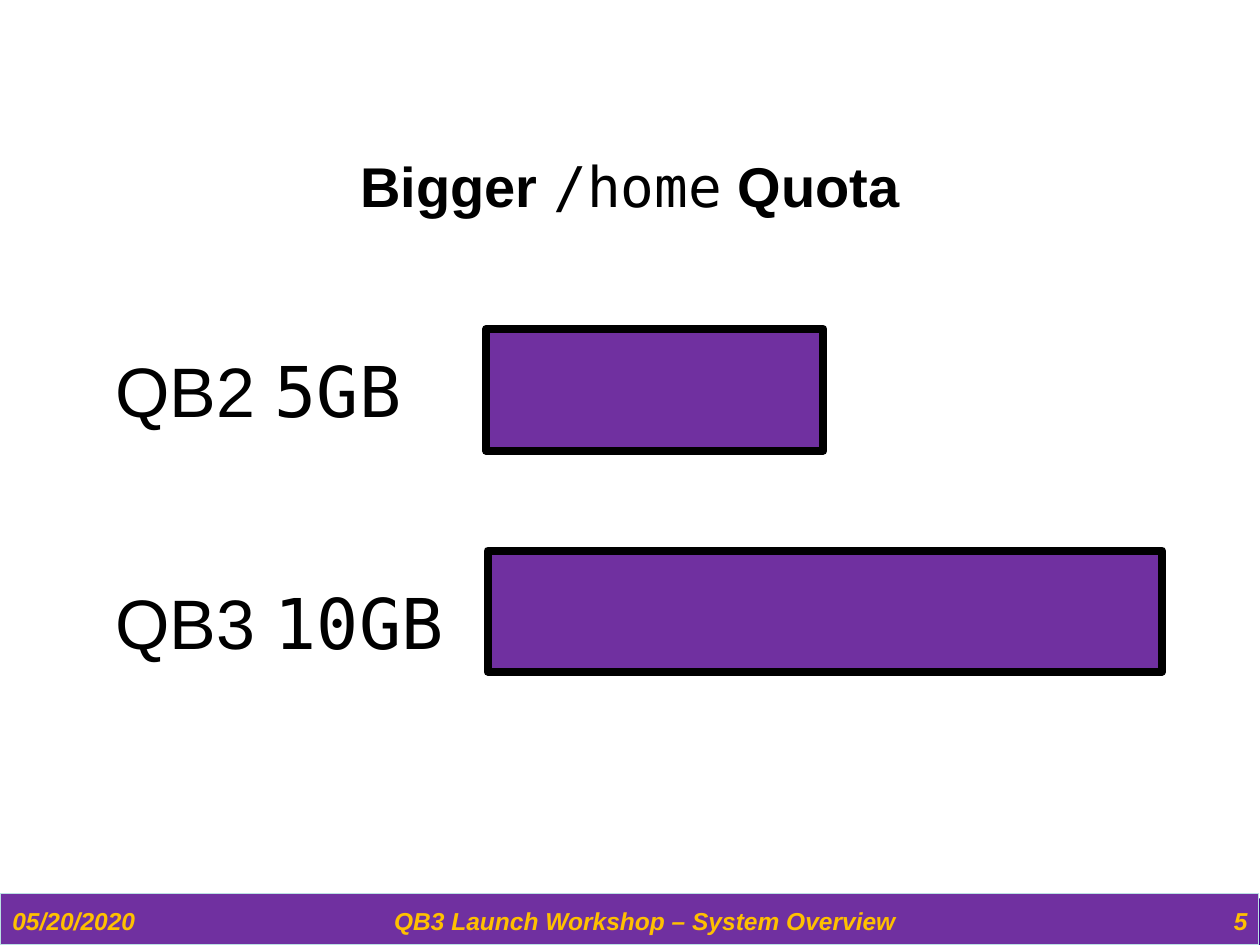
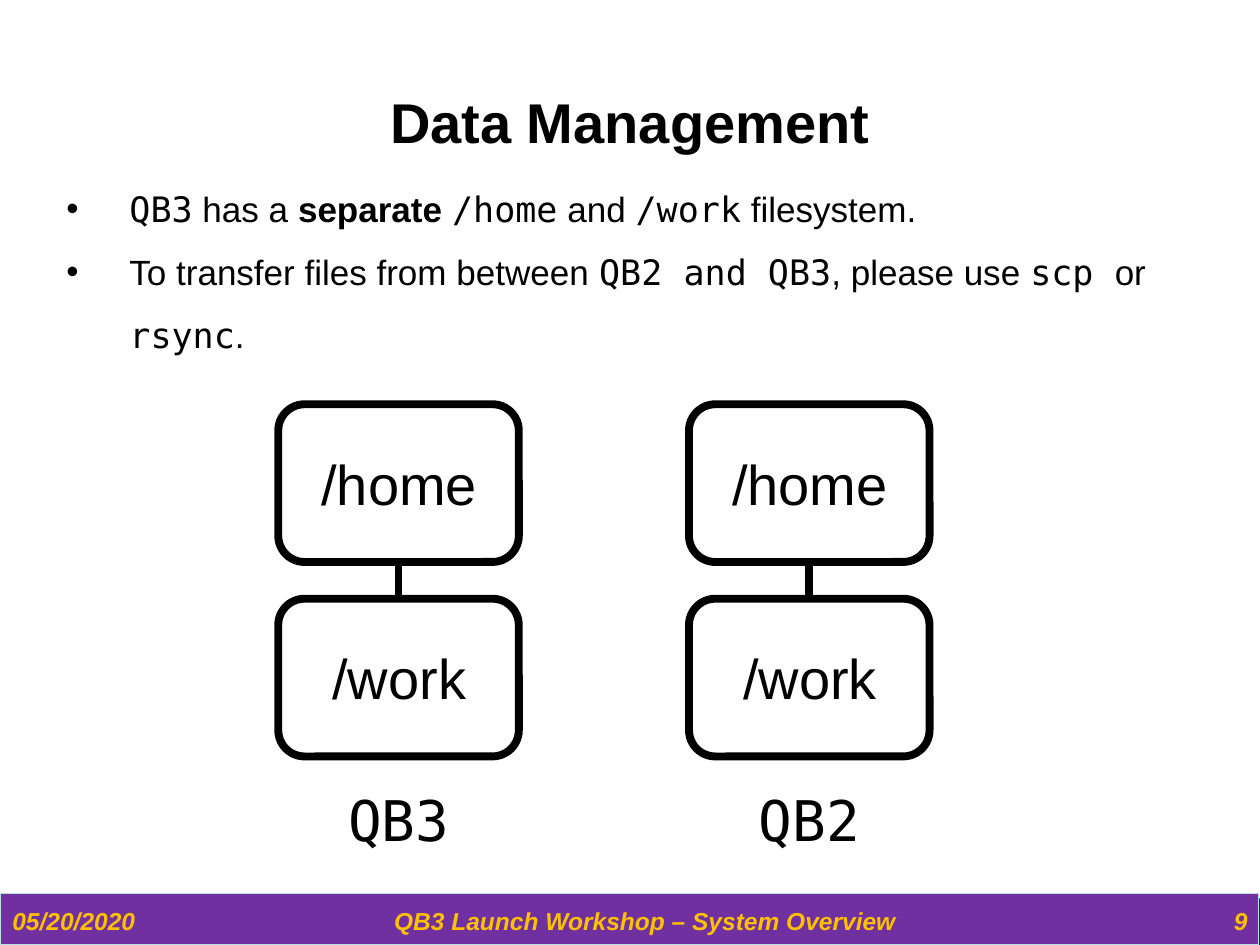
from lxml.etree import SubElement
from pptx import Presentation
from pptx.dml.color import RGBColor
from pptx.enum.shapes import MSO_CONNECTOR as Connector, MSO_SHAPE as Shape
from pptx.enum.text import MSO_AUTO_SIZE as AutoSize, PP_ALIGN as Align
from pptx.oxml.ns import qn
from pptx.util import Cm, Pt

PURPLE, DEEP_PURPLE, GOLD = "7030A0", "46008F", "FFC000"
BLACK, PALE_BLUE = "000000", "BBE0E3"
color = RGBColor.from_string

PLAIN = {"name": "Arial", "bold": False}
BOLD = {"name": "Arial", "bold": True}
MONO = {"name": "DejaVu Sans Mono", "bold": False}
FOOTER = {"name": "Arial", "bold": True, "italic": True}


def add_box(shapes, kind, place, fill=None, line=None, weight=4.5):
    box = shapes.add_shape(kind, *map(Cm, place))
    box.shadow.inherit = False
    if fill:
        box.fill.solid()
        box.fill.fore_color.rgb = color(fill)
    else:
        box.fill.background()
    if line:
        box.line.color.rgb = color(line)
        box.line.width = Pt(weight)
    else:
        box.line.fill.background()
    return box


def add_text(shapes, place, paragraphs, size, align=Align.LEFT, ink=BLACK, fit=AutoSize.SHAPE_TO_FIT_TEXT):
    frame = shapes.add_textbox(*map(Cm, place)).text_frame
    frame.word_wrap = True
    frame.auto_size = fit
    for index, pieces in enumerate(paragraphs):
        paragraph = frame.add_paragraph() if index else frame.paragraphs[0]
        paragraph.alignment = align
        for words, style in pieces:
            run = paragraph.add_run()
            run.text = words
            run.font.size = Pt(size)
            run.font.color.rgb = color(ink)
            for key, value in style.items():
                setattr(run.font, key, value)
    return frame


prs = Presentation()
prs.slide_width, prs.slide_height = Cm(25.4), Cm(19.05)

pages = [
    ("5", 2.92, [("Bigger ", BOLD), ("/home", MONO), (" Quota", BOLD)]),
    ("9", 1.63, [("Data Management", BOLD)]),
]
slides = []
for number, title_top, title in pages:
    slide = prs.slides.add_slide(prs.slide_layouts[6])
    slides.append(slide)
    add_box(slide.shapes, Shape.RECTANGLE, (0, 18.11, 25.4, 0.94), DEEP_PURPLE)
    add_box(slide.shapes, Shape.RECTANGLE, (0, 18.01, 25.37, 1.04), PURPLE, PALE_BLUE, 0.75)
    for left, width, words, align in [
        (0, 3.3, "05/20/2020", Align.LEFT),
        (3.71, 18.59, "QB3 Launch Workshop – System Overview", Align.CENTER),
        (22.71, 2.69, number, Align.RIGHT),
    ]:
        add_text(slide.shapes, (left, 18.14, width, 0.91), [[(words, FOOTER)]],
                 14, align, GOLD, AutoSize.NONE)
    add_text(slide.shapes, (3.2, title_top, 19, 1.63), [title], 32, Align.CENTER)

quota_slide, data_slide = slides

for system, gigabytes, label_top, bar_left, bar_top, bar_height in [
    ("QB2", 5, 6.88, 9.8, 6.63, 2.46),
    ("QB3", 10, 11.56, 9.83, 11.1, 2.44),
]:
    add_text(quota_slide.shapes, (2.08, label_top, 9.27, 1.96),
             [[(f"{system} ", PLAIN), (f"{gigabytes}GB", MONO)]], 40)
    add_box(quota_slide.shapes, Shape.RECTANGLE,
            (bar_left, bar_top, gigabytes * 1.36, bar_height), PURPLE, BLACK)

advice = add_text(data_slide.shapes, (1.09, 3.23, 23.19, 5.23), [
    [("QB3", MONO), (" has a ", PLAIN), ("separate ", BOLD), ("/home", MONO),
     (" and ", PLAIN), ("/work", MONO), (" filesystem. ", PLAIN)],
    [("To transfer files from between ", PLAIN), ("QB2 and QB3", MONO),
     (", please use ", PLAIN), ("scp ", MONO), ("or ", PLAIN),
     ("rsync", MONO), (".", PLAIN)],
], 20)
for point in advice.paragraphs:
    point.line_spacing = 1.5
    properties = point._p.get_or_add_pPr()
    properties.set("marL", str(Cm(1.27)))
    properties.set("indent", str(-Cm(1.27)))
    SubElement(properties, qn("a:buFont")).set("typeface", "Arial")
    SubElement(properties, qn("a:buChar")).set("char", "•")

for column, system in enumerate(["QB3", "QB2"]):
    left = 5.61 + column * 8.28
    cluster = data_slide.shapes.add_group_shape().shapes
    home, work = [
        add_box(cluster, Shape.ROUNDED_RECTANGLE, (left, top, 4.85, 3.18), line=BLACK)
        for top in (8.15, 12.07)
    ]
    link = cluster.add_connector(Connector.STRAIGHT, 0, 0, 0, 0)
    link.begin_connect(home, 2)
    link.end_connect(work, 0)
    link.line.color.rgb = color(BLACK)
    link.line.width = Pt(4.5)
    SubElement(link._element.spPr, qn("a:effectLst"))
    for offset, top, width, words, style in [
        (0.23, 8.94, 4.42, "/home", PLAIN),
        (0.23, 12.85, 4.42, "/work", PLAIN),
        (-0.25, 15.72, 5.36, system, MONO),
    ]:
        add_text(cluster, (left + offset, top, width, 1.63), [[(words, style)]], 32, Align.CENTER)

prs.save("out.pptx")
